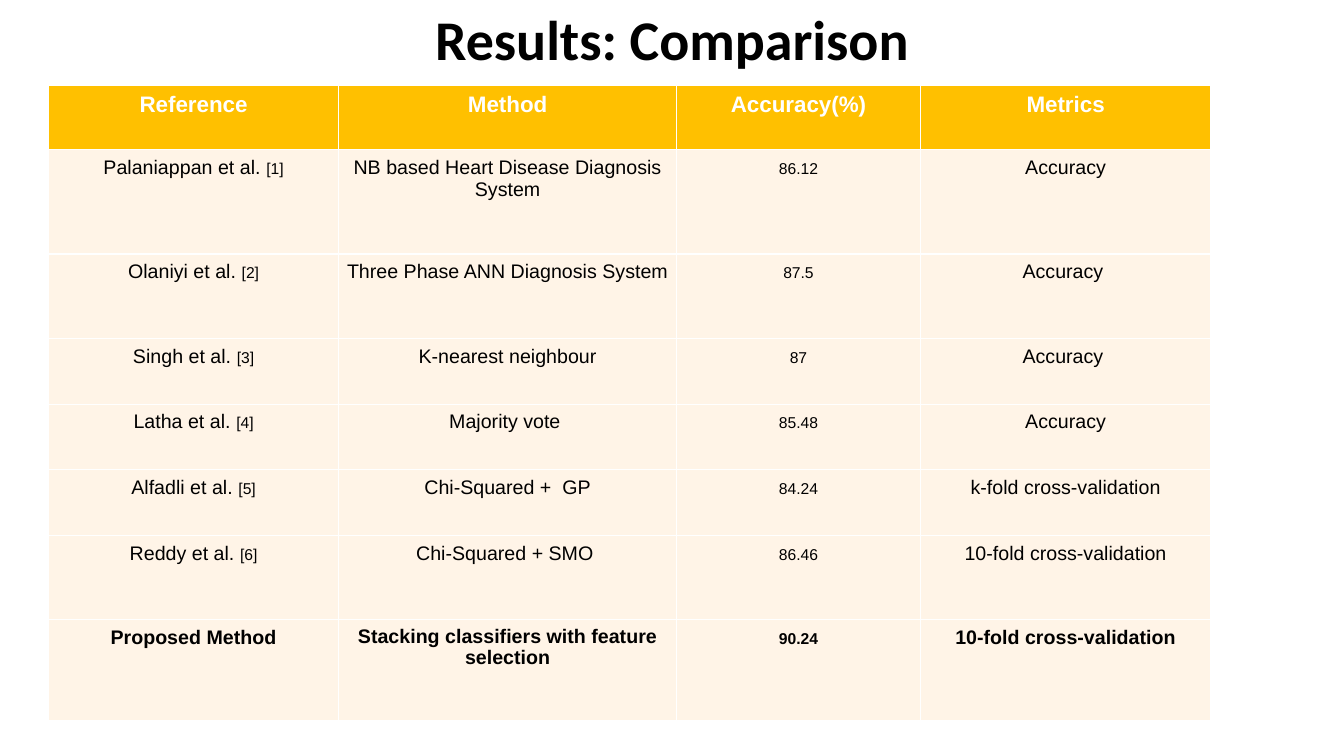
from pptx import Presentation
from pptx.dml.color import RGBColor as RGB
from pptx.enum.text import MSO_ANCHOR as ANCHOR, PP_ALIGN as ALIGN
from pptx.util import Inches, Pt

COLORS = {"head": "FFC000", "body": "FFF4E7", "white": "FFFFFF", "black": "000000"}


def style(font, name, size, color, bold):
    font.name, font.size, font.bold = name, Pt(size), bold
    font.color.rgb = RGB.from_string(COLORS[color])


deck = Presentation()
deck.slide_width, deck.slide_height = Inches(13.33), Inches(7.5)
slide = deck.slides.add_slide(deck.slide_layouts[5])

# Title
title = slide.shapes.title
title.left, title.top = Inches(0), Inches(0)
title.width, title.height = Inches(13.33), Inches(0.85)
title.text_frame.text = "Results: Comparison"
title.text_frame.vertical_anchor = ANCHOR.MIDDLE
para = title.text_frame.paragraphs[0]
para.alignment = ALIGN.CENTER
para.line_spacing = 0.9
style(para.font, "Calibri", 40, "black", True)

# Table content: reference, method, accuracy, metrics
rows = [
    ("Reference", "Method", "Accuracy(%)", "Metrics"),
    ("Palaniappan et al. [1]", "NB based Heart Disease Diagnosis System", "86.12", "Accuracy"),
    ("Olaniyi et al. [2]", "Three Phase ANN Diagnosis System", "87.5", "Accuracy "),
    ("Singh et al. [3]", "K-nearest neighbour", "87", "Accuracy "),
    ("Latha et al. [4]", "Majority vote ", "85.48", "Accuracy"),
    ("Alfadli et al. [5]", "Chi-Squared +  GP", "84.24", "k-fold cross-validation"),
    ("Reddy et al. [6]", "Chi-Squared + SMO ", "86.46", "10-fold cross-validation"),
    ("Proposed Method", "Stacking classifiers with feature selection", "90.24",
     "10-fold cross-validation"),
]
widths = [2.88, 3.35, 2.42, 2.88]
heights = [0.63, 1.04, 0.84, 0.65, 0.65, 0.65, 0.84, 1]
last = len(rows) - 1

# Table grid; the default table style draws the white borders
table = slide.shapes.add_table(len(rows), len(widths), Inches(0.48), Inches(0.85),
                               Inches(sum(widths)), Inches(sum(heights))).table
for col, width in zip(table.columns, widths):
    col.width = Inches(width)
for row, height in zip(table.rows, heights):
    row.height = Inches(height)

# Cells
for r, row in enumerate(rows):
    for c, text in enumerate(row):
        cell = table.cell(r, c)
        cell.fill.solid()
        cell.fill.fore_color.rgb = RGB.from_string(COLORS["body" if r else "head"])
        cell.margin_left = cell.margin_right = Inches(0.07)
        cell.margin_top = cell.margin_bottom = Inches(0.07)
        para = cell.text_frame.paragraphs[0]
        para.alignment = ALIGN.CENTER

        # Accuracy figures and reference numbers are in small capitals
        name, mark, number = text.partition("[")
        small = mark + number
        if r and c == 2:
            name, small = "", text
        for part in filter(None, (name, small)):
            run = para.add_run()
            run.text = part
            style(run.font, "Arial", 14 if r else 16,
                  "black" if r else "white", r in (0, last))
            if part == small:
                run.font._element.set("cap", "small")

# Tighter lines for the proposed method
para = table.cell(last, 1).text_frame.paragraphs[0]
para.line_spacing = 0.95
para.space_after = Pt(6)

deck.save("out.pptx")
